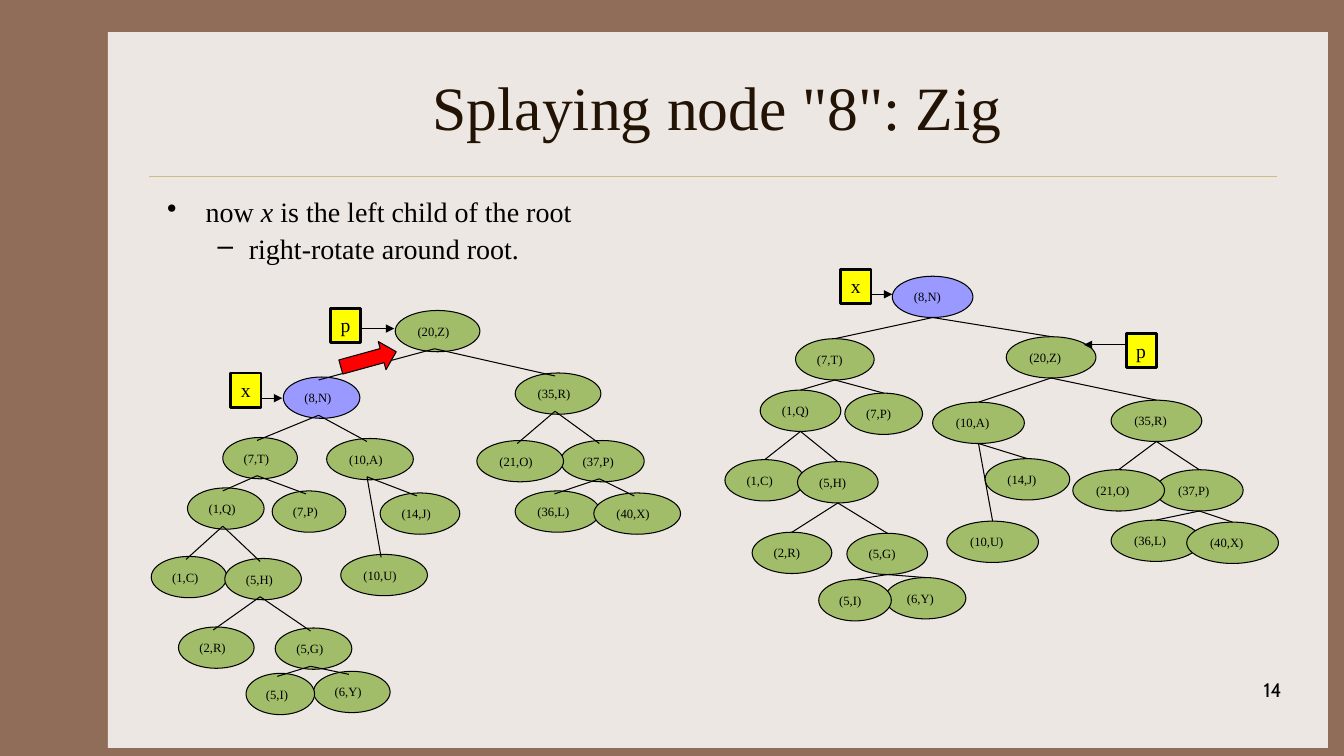
from dataclasses import dataclass
from typing import NamedTuple

from lxml import etree
from pptx import Presentation
from pptx import util as u
from pptx.dml import color
from pptx.enum import shapes, text
from pptx.oxml import ns


@dataclass(frozen=True)
class Theme:
    serif: str = "Times New Roman"
    sans: str = "Cabin"
    frame: str = "906D58"
    panel: str = "EDE7E3"
    rule: str = "CBBD83"
    title: str = "221304"
    ink: str = "000000"
    node: str = "A1BD69"
    splayed: str = "9999FF"
    marker: str = "FFFF00"
    rotation: str = "FF0000"
    title_size: float = 44
    body_size: float = 20
    label_size: float = 14
    node_size: float = 9
    hairline: float = 0.25
    thin: float = 0.75
    thick: float = 2


class Node(NamedTuple):
    label: str
    left: float
    top: float
    width: float
    parent: str = ""


class Tree(NamedTuple):
    nodes: list[Node]
    wrap: bool
    shift: float
    overlap: float


class Pointer(NamedTuple):
    label: str
    left: float
    top: float
    start: float
    end: float
    level: float


class Bullet(NamedTuple):
    symbol: str
    level: int
    margin: float
    hanging: float
    before: float
    spans: list[tuple[str, bool]]


THEME = Theme()
NODE_HEIGHT = 0.41
MARKER_SIZE = (0.3, 0.34)

BEFORE = Tree([
    Node("(10,A)", 3.24, 4.35, 0.86, "(8,N)"),
    Node("(20,Z)", 3.92, 3.08, 0.84),
    Node("(37,P)", 5.56, 4.37, 0.83, "(35,R)"),
    Node("(21,O)", 4.73, 4.37, 0.86, "(35,R)"),
    Node("(35,R)", 5.11, 3.7, 0.85, "(20,Z)"),
    Node("(36,L)", 5.11, 4.87, 0.84, "(37,P)"),
    Node("(40,X)", 5.89, 4.89, 0.86, "(37,P)"),
    Node("(7,T)", 2.21, 4.34, 0.74, "(8,N)"),
    Node("(1,C)", 1.5, 5.52, 0.75, "(1,Q)"),
    Node("(1,Q)", 1.86, 4.84, 0.76, "(7,T)"),
    Node("(5,G)", 2.73, 6.23, 0.76, "(5,H)"),
    Node("(2,R)", 1.77, 6.22, 0.75, "(5,H)"),
    Node("(5,H)", 2.23, 5.54, 0.76, "(1,Q)"),
    Node("(6,Y)", 3.11, 6.66, 0.76, "(5,G)"),
    Node("(5,I)", 2.44, 6.68, 0.68, "(5,G)"),
    Node("(14,J)", 3.77, 4.89, 0.79, "(10,A)"),
    Node("(8,N)", 2.81, 3.74, 0.76, "(20,Z)"),
    Node("(7,P)", 2.7, 4.87, 0.73, "(7,T)"),
    Node("(10,U)", 3.38, 5.5, 0.86, "(10,A)"),
], wrap=False, shift=-0.03, overlap=0.03)

AFTER = Tree([
    Node("(10,A)", 9.25, 3.99, 0.91, "(20,Z)"),
    Node("(20,Z)", 9.98, 3.34, 0.89, "(8,N)"),
    Node("(37,P)", 11.46, 4.66, 0.87, "(35,R)"),
    Node("(21,O)", 10.64, 4.66, 0.91, "(35,R)"),
    Node("(35,R)", 11.02, 3.97, 0.9, "(20,Z)"),
    Node("(36,L)", 11.02, 5.16, 0.89, "(37,P)"),
    Node("(40,X)", 11.77, 5.18, 0.91, "(37,P)"),
    Node("(7,T)", 7.89, 3.36, 0.78, "(8,N)"),
    Node("(1,C)", 7.19, 4.56, 0.79, "(1,Q)"),
    Node("(1,Q)", 7.54, 3.87, 0.8, "(7,T)"),
    Node("(5,G)", 8.4, 5.29, 0.8, "(5,H)"),
    Node("(2,R)", 7.46, 5.28, 0.79, "(5,H)"),
    Node("(5,H)", 7.91, 4.58, 0.8, "(1,Q)"),
    Node("(6,Y)", 8.78, 5.73, 0.8, "(5,G)"),
    Node("(5,I)", 8.12, 5.75, 0.72, "(5,G)"),
    Node("(14,J)", 9.77, 4.55, 0.84, "(10,A)"),
    Node("(8,N)", 8.85, 2.74, 0.8),
    Node("(7,P)", 8.38, 3.9, 0.77, "(7,T)"),
    Node("(10,U)", 9.39, 5.17, 0.91, "(10,A)"),
], wrap=True, shift=0, overlap=0)

POINTERS = [
    Pointer("x", 2.29, 3.7, 2.54, 2.8, 3.95),
    Pointer("p", 3.28, 3.06, 3.57, 3.91, 3.26),
    Pointer("x", 8.34, 2.67, 8.59, 2.85 + 6, 2.92),
    Pointer("p", 11.17, 3.31, 11.17, 10.75, 3.42),
]

BULLETS = [
    Bullet("•", 0, 0.38, 0.38, 0, [
        ("now", False), (" x", True), (" is the left child of the root", False)]),
    Bullet("–", 1, 0.81, 0.31, 5, [("right-rotate around root.", False)]),
]


def rgb(value: str) -> color.RGBColor:
    return color.RGBColor.from_string(value)


def add_span(para, words: str, size: float, ink: str = THEME.ink,
             face: str = THEME.serif, italic: bool = False) -> None:
    span = para.add_run()
    span.text = words
    for name, value in {"size": u.Pt(size), "name": face, "italic": italic}.items():
        setattr(span.font, name, value)
    span.font.color.rgb = rgb(ink)


def add_box(page, left: float, top: float, width: float, height: float):
    box = page.shapes.add_textbox(*map(u.Inches, (left, top, width, height)))
    box.text_frame.word_wrap = True
    return box.text_frame


def add_shape(page, kind, left: float, top: float, width: float, height: float,
              fill: str, line_width: float = 0):
    shape = page.shapes.add_shape(kind, *map(u.Inches, (left, top, width, height)))
    shape.shadow.inherit = False
    shape.fill.solid()
    shape.fill.fore_color.rgb = rgb(fill)
    if line_width:
        shape.line.color.rgb = rgb(THEME.ink)
        shape.line.width = u.Pt(line_width)
    else:
        shape.line.fill.background()
    return shape


def label_shape(shape, words: str, size: float, wrap: bool, anchor) -> None:
    layout = {"word_wrap": wrap, "vertical_anchor": anchor,
              "auto_size": text.MSO_AUTO_SIZE.SHAPE_TO_FIT_TEXT}
    for name, value in layout.items():
        setattr(shape.text_frame, name, value)
    para = shape.text_frame.paragraphs[0]
    para.alignment = text.PP_ALIGN.LEFT
    add_span(para, words, size)


def add_line(page, x1: float, y1: float, x2: float, y2: float, ink: str = THEME.ink,
             width: float = THEME.thin, arrow: bool = False) -> None:
    line = page.shapes.add_connector(
        shapes.MSO_CONNECTOR.STRAIGHT, *map(u.Inches, (x1, y1, x2, y2)))
    line.line.color.rgb = rgb(ink)
    line.line.width = u.Pt(width)
    if arrow:
        etree.SubElement(line.line._get_or_add_ln(), ns.qn("a:tailEnd"), type="triangle")
    etree.SubElement(line._element.spPr, ns.qn("a:effectLst"))


def add_tree(page, tree: Tree) -> None:
    for node in tree.nodes:
        fill = THEME.splayed if node.label == "(8,N)" else THEME.node
        oval = add_shape(page, shapes.MSO_SHAPE.OVAL, node.left, node.top, node.width,
                         NODE_HEIGHT, fill, THEME.thin)
        label_shape(oval, node.label, THEME.node_size, tree.wrap, text.MSO_ANCHOR.MIDDLE)
    by_label = {node.label: node for node in tree.nodes}
    for node in tree.nodes:
        if node.parent:
            parent = by_label[node.parent]
            add_line(page, parent.left + parent.width / 2 + tree.shift,
                     parent.top + NODE_HEIGHT - tree.overlap,
                     node.left + node.width / 2 + tree.shift, node.top + tree.overlap)


def add_pointer(page, pointer: Pointer) -> None:
    add_line(page, pointer.start, pointer.level, pointer.end, pointer.level, arrow=True)
    marker = add_shape(page, shapes.MSO_SHAPE.RECTANGLE, pointer.left, pointer.top,
                       *MARKER_SIZE, THEME.marker, THEME.thick)
    label_shape(marker, pointer.label, THEME.label_size, False, text.MSO_ANCHOR.TOP)


def add_bullet(para, bullet: Bullet) -> None:
    properties = para._p.get_or_add_pPr()
    properties.set("marL", str(u.Inches(bullet.margin)))
    properties.set("indent", str(-u.Inches(bullet.hanging)))
    etree.SubElement(properties, ns.qn("a:buChar"), char=bullet.symbol)
    spacing = {"level": bullet.level, "line_spacing": 0.9, "space_before": u.Pt(bullet.before)}
    for name, value in spacing.items():
        setattr(para, name, value)
    for words, italic in bullet.spans:
        add_span(para, words, THEME.body_size, italic=italic)


def main() -> None:
    deck = Presentation()
    deck.slide_width, deck.slide_height = u.Inches(13.33), u.Inches(7.5)
    page = deck.slides.add_slide(deck.slide_layouts[6])
    page.background.fill.solid()
    page.background.fill.fore_color.rgb = rgb(THEME.frame)
    add_shape(page, shapes.MSO_SHAPE.RECTANGLE, 1.07, 0.32, 12.1, 7.1, THEME.panel)
    add_line(page, 1.48, 1.75, 12.67, 1.75, THEME.rule, THEME.hairline)

    title = add_box(page, 1.56, 0.42, 11.11, 1.25)
    title.vertical_anchor = text.MSO_ANCHOR.MIDDLE
    title.paragraphs[0].alignment = text.PP_ALIGN.CENTER
    add_span(title.paragraphs[0], 'Splaying node "8": Zig', THEME.title_size, THEME.title)

    body = add_box(page, 1.56, 1.92, 6.15, 0.82)
    for index, bullet in enumerate(BULLETS):
        add_bullet(body.add_paragraph() if index else body.paragraphs[0], bullet)

    number = add_box(page, 10.03, 6.68, 2.78, 0.5).paragraphs[0]
    number.alignment = text.PP_ALIGN.RIGHT
    add_span(number, "14", THEME.label_size, face=THEME.sans)

    for tree in (AFTER, BEFORE):
        add_tree(page, tree)
    for pointer in POINTERS:
        add_pointer(page, pointer)
    arrow = add_shape(page, shapes.MSO_SHAPE.DOWN_ARROW, 3.51, 3.28, 0.29, 0.57,
                      THEME.rotation, THEME.thin)
    arrow.rotation = 254.6
    deck.save("out.pptx")


if __name__ == "__main__":
    main()
